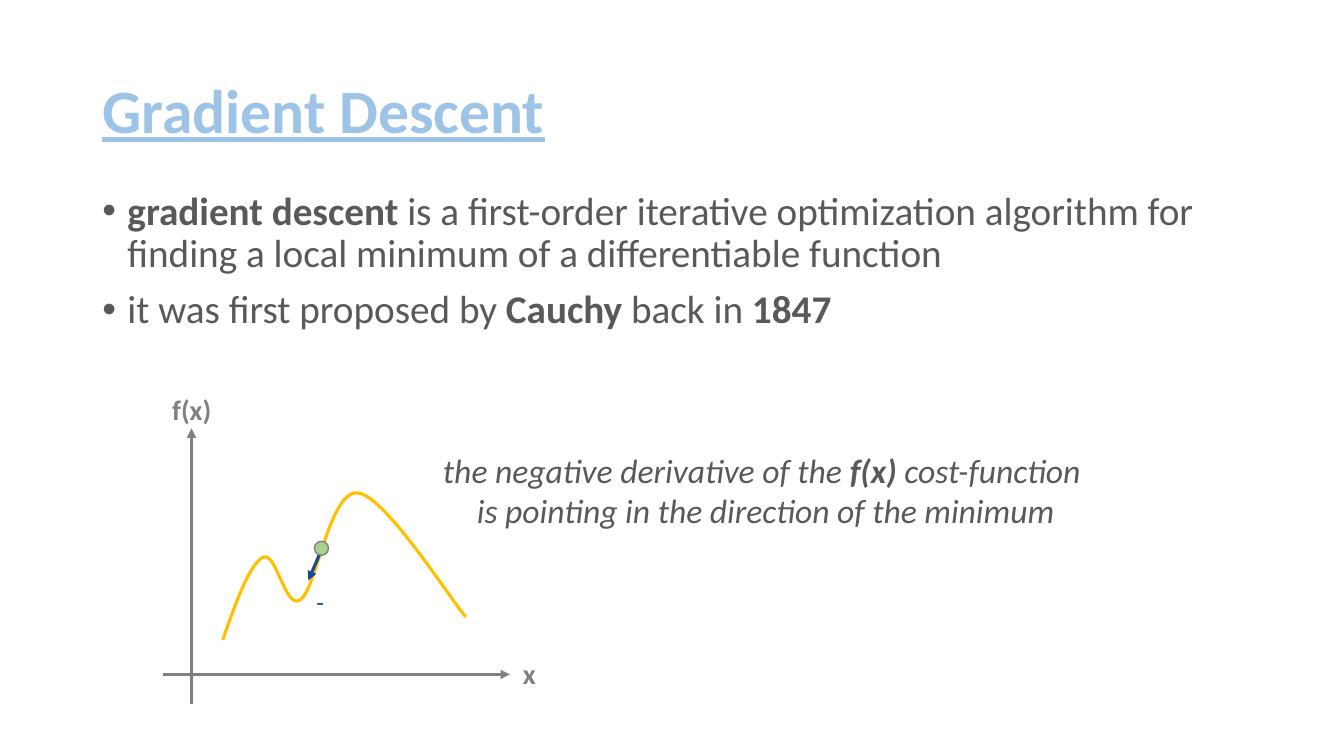
import pptx
import pptx.util
import pptx.dml.color
import pptx.enum.shapes
import pptx.enum.text
import lxml.etree
from dataclasses import dataclass
from pptx.oxml.ns import qn

Pt = pptx.util.Pt
ALIGN = pptx.enum.text.PP_ALIGN
ANCHOR = pptx.enum.text.MSO_ANCHOR


@dataclass(frozen=True)
class Theme:
    font: str = "Calibri"
    title: str = "9DC3E6"
    body: str = "595959"
    axis: str = "808080"
    curve: str = "FFC000"
    step: str = "1B4798"
    ball: str = "A9D18E"
    title_size: float = 44
    body_size: float = 28
    note_size: float = 24
    label_size: float = 20
    sign_size: float = 18
    stroke: float = 2.25


T = Theme()


def rgb(color):
    return pptx.dml.color.RGBColor.from_string(color)


def set_line(line, color, width=T.stroke):
    line.color.rgb = rgb(color)
    line.width = Pt(width)


def add_text(s, box, paragraphs, size, color, wrap=False, align=ALIGN.LEFT,
             anchor=ANCHOR.TOP, spacing=None, bullets=False, **style):
    """Each paragraph is a list of (text, bold) runs."""
    sp = s.shapes.add_textbox(*map(Pt, box))
    tf = sp.text_frame
    tf.word_wrap = wrap
    tf.vertical_anchor = anchor
    for i, runs in enumerate(paragraphs):
        p = tf.add_paragraph() if i else tf.paragraphs[0]
        p.alignment = align
        if spacing:
            p.line_spacing = spacing
        if bullets:
            add_bullet(p)
            if i:
                p.space_before = Pt(10)
        for text, bold in runs:
            r = p.add_run()
            r.text = text
            r.font.name = T.font
            r.font.size = Pt(size)
            r.font.color.rgb = rgb(color)
            r.font.bold = bold
            for name, value in style.items():
                setattr(r.font, name, value)


def add_bullet(p):
    pPr = p._p.get_or_add_pPr()
    pPr.set("marL", str(Pt(18)))
    pPr.set("indent", str(-Pt(18)))
    lxml.etree.SubElement(pPr, qn("a:buFont")).set("typeface", "Arial")
    lxml.etree.SubElement(pPr, qn("a:buChar")).set("char", "•")


def add_arrow(s, x1, y1, x2, y2, color):
    cn = s.shapes.add_connector(pptx.enum.shapes.MSO_CONNECTOR.STRAIGHT,
                                Pt(x1), Pt(y1), Pt(x2), Pt(y2))
    set_line(cn.line, color)
    ln = cn.line._get_or_add_ln()
    lxml.etree.SubElement(ln, qn("a:tailEnd")).set("type", "triangle")
    lxml.etree.SubElement(cn._element.spPr, qn("a:effectLst"))


def bezier(nodes, steps=24):
    """Points along joined cubic segments that share their end nodes."""
    points = [nodes[0]]
    for i in range(0, len(nodes) - 1, 3):
        a, b, c, d = nodes[i:i + 4]
        for k in range(1, steps + 1):
            t = k / steps
            u = 1 - t
            points.append(tuple(
                u**3 * a[j] + 3 * u * u * t * b[j] + 3 * u * t * t * c[j] + t**3 * d[j]
                for j in (0, 1)))
    return points


def add_curve(s, nodes, color):
    start, *rest = [(Pt(x), Pt(y)) for x, y in bezier(nodes)]
    fb = s.shapes.build_freeform(*start)
    fb.add_line_segments(rest, close=False)
    sp = fb.convert_to_shape()
    sp.shadow.inherit = False
    sp.fill.background()
    set_line(sp.line, color)


def add_ball(s, x, y, size):
    sp = s.shapes.add_shape(pptx.enum.shapes.MSO_SHAPE.OVAL,
                            Pt(x), Pt(y), Pt(size), Pt(size))
    sp.shadow.inherit = False
    sp.fill.solid()
    sp.fill.fore_color.rgb = rgb(T.ball)
    set_line(sp.line, T.axis, 1)


def main():
    prs = pptx.Presentation()
    prs.slide_width, prs.slide_height = Pt(960), Pt(540)
    s = prs.slides.add_slide(prs.slide_layouts[6])

    # Title and bullets
    add_text(s, (66, 28.8, 828, 104.4), [[("Gradient Descent", True)]],
             T.title_size, T.title, wrap=True, anchor=ANCHOR.MIDDLE,
             spacing=0.9, underline=True)
    add_text(s, (66, 133.2, 828, 342.7), [
        [("gradient descent", True),
         (" is a first-order iterative optimization algorithm for finding"
          " a local minimum of a differentiable function", False)],
        [("it was first proposed by ", False), ("Cauchy ", True),
         ("back in", False), (" 1847", True)],
    ], T.body_size, T.body, wrap=True, spacing=0.9, bullets=True)

    # Axes
    add_arrow(s, 136.8, 502.6, 136.8, 306, T.axis)
    add_arrow(s, 116.6, 481.7, 364.3, 481.7, T.axis)
    add_text(s, (366.5, 465.1, 23.8, 31.7), [[("x", True)]], T.label_size, T.axis)
    add_text(s, (115.9, 276.5, 43.2, 31.7), [[("f(x)", True)]], T.label_size, T.axis)

    # Cost function and descent step
    add_curve(s, [(159.1, 457.2), (168.5, 429.8), (178.6, 402.5), (187.9, 398.2),
                  (197.3, 393.1), (203.8, 436.3), (214.6, 428.4),
                  (226.1, 420.5), (235.4, 349.9), (255.6, 352.1),
                  (275, 354.2), (320.4, 426.2), (332.6, 440.6)], T.curve)
    add_arrow(s, 229.7, 392.4, 220.3, 414.7, T.step)
    add_ball(s, 224.6, 386.6, 10.1)
    add_text(s, (218.9, 415.4, 20.2, 28.8), [[("-", False)]], T.sign_size, T.step)

    # Explanation
    add_text(s, (306, 317.5, 481.7, 65.5), [
        [("the negative derivative of the ", False), ("f(x)", True),
         (" cost-function ", False)],
        [("is pointing in the direction of the minimum", False)],
    ], T.note_size, T.body, align=ALIGN.CENTER, italic=True)

    prs.save("out.pptx")


if __name__ == "__main__":
    main()
